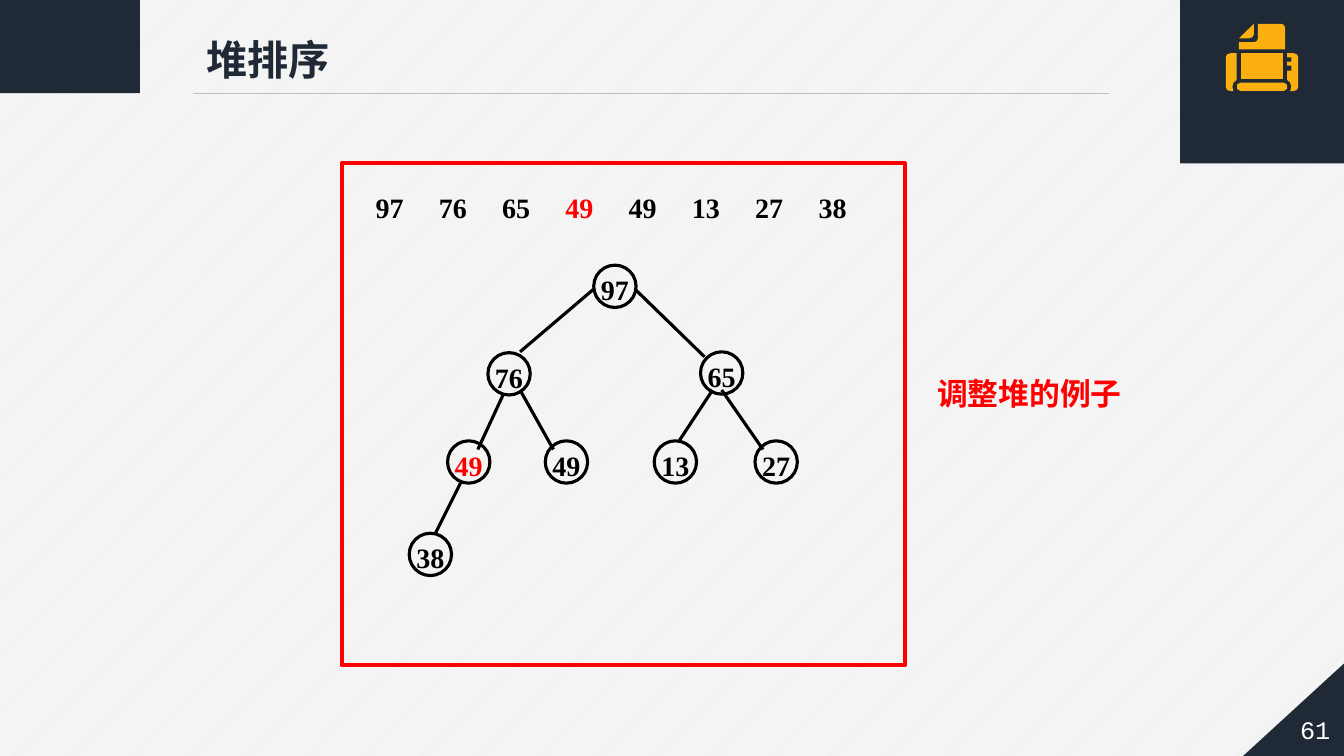
from lxml import etree
from pptx import Presentation
from pptx.dml.color import RGBColor
from pptx.enum.dml import MSO_PATTERN
from pptx.enum.shapes import MSO_CONNECTOR, MSO_SHAPE
from pptx.enum.text import MSO_ANCHOR, MSO_AUTO_SIZE, PP_ALIGN
from pptx.oxml.ns import qn
from pptx.util import Pt

STRIPE = MSO_PATTERN.LIGHT_UPWARD_DIAGONAL
LINE = MSO_CONNECTOR.STRAIGHT
RECT, OVAL, CORNER = MSO_SHAPE.RECTANGLE, MSO_SHAPE.OVAL, MSO_SHAPE.RIGHT_TRIANGLE
TOP, MID = MSO_ANCHOR.TOP, MSO_ANCHOR.MIDDLE
LEFT, MIDST = PP_ALIGN.LEFT, PP_ALIGN.CENTER
FIXED = MSO_AUTO_SIZE.NONE

COLORS = {"navy": "202A36", "gold": "FCB00F", "red": "FF0000", "black": "000000",
          "white": "FFFFFF", "pale": "F2F2F2", "gray": "BFBFBF"}
SERIF = "Times New Roman"

TITLE = "堆排序"
LABEL = "调整堆的例子"
PAGE = "61"
HEAP = [97, 76, 65, 49, 49, 13, 27, 38]
MARKED = 3

CENTERS = [(439.2, 204.5), (363.6, 267), (515.5, 266.4), (334.8, 330),
           (404.6, 330), (482.4, 330), (554.4, 330), (307.4, 396)]
EDGES = [((424, 206.6), (371.5, 251.3)), ((453.6, 206.6), (503.3, 254.9)),
         ((359.3, 282.2), (341.3, 321.1)), ((371.5, 278.6), (395.3, 321.1)),
         ((509, 278.6), (485.3, 314.6)), ((515.5, 278.6), (545, 321.1)),
         ((329, 344.9), (311, 380.9))]
NODE = 30.24
STEP = 45.2

PANELS = [(RECT, 0, 0, 100, 66.5), (CORNER, 888, 474, 72, 66), (RECT, 843, 0, 117, 116.8)]
PRINTER = [
    [(879, 38), (883.4, 38), (883.4, 57), (881, 59), (880.3, 62), (881, 65),
     (879, 65), (876.5, 64.2), (875.6, 62), (875.6, 41), (876.5, 38.8)],
    [(886, 59), (917, 59), (919.4, 60.5), (919.4, 63.5), (917, 65), (886, 65),
     (883.6, 63.5), (883.6, 60.5)],
    [(919.4, 38), (924, 38), (926.4, 38.8), (927.3, 41), (927.3, 62), (926.4, 64.2),
     (924, 65), (921.6, 65), (922.4, 62), (921.6, 59), (919.4, 57), (919.4, 50.4),
     (922.4, 50.4), (922.4, 46.8), (919.4, 46.8), (919.4, 44), (922.4, 44),
     (922.4, 41), (919.4, 41)],
    [(885, 27.4), (895.6, 17), (895.6, 24.5), (894.7, 26.5), (892, 27.4)],
    [(885, 30.2), (895.6, 30.2), (897.8, 29.4), (898.6, 27.4), (898.6, 17),
     (915, 17), (917.2, 17.8), (918, 20), (918, 35.3), (885, 35.3)],
    [(886.3, 38), (916.6, 38), (916.6, 56.2), (886.3, 56.2)],
]


def rgb(name):
    return RGBColor.from_string(COLORS[name])


def box(*nums):
    return [Pt(n) for n in nums]


def put(thing, values):
    for name, value in values.items():
        setattr(thing, name, value)


def paint(shape, fill=None, line=None, width=1):
    shape.shadow.inherit = False
    if fill:
        shape.fill.solid()
        shape.fill.fore_color.rgb = rgb(fill)
    else:
        shape.fill.background()
    if line:
        shape.line.color.rgb = rgb(line)
        shape.line.width = Pt(width)
    else:
        shape.line.fill.background()


def join(start, end, color, width):
    link = slide.shapes.add_connector(LINE, *box(*start, *end))
    link.line.color.rgb = rgb(color)
    link.line.width = Pt(width)
    etree.SubElement(link._element.spPr, qn("a:effectLst"))


def write(shape, runs, size, face=SERIF, bold=True, align=LEFT, space=1.0,
          anchor=TOP, wrap=False, pad=7.2, tabs=()):
    frame = shape.text_frame
    put(frame, {"auto_size": FIXED, "word_wrap": wrap, "vertical_anchor": anchor,
                "margin_left": Pt(pad), "margin_right": Pt(pad),
                "margin_top": Pt(3.6), "margin_bottom": Pt(3.6)})
    para = frame.paragraphs[0]
    if tabs:
        stops = etree.SubElement(para._p.get_or_add_pPr(), qn("a:tabLst"))
        for stop in tabs:
            etree.SubElement(stops, qn("a:tab"), pos=str(Pt(stop)), algn="l")
    put(para, {"alignment": align, "line_spacing": space})
    for text, color in runs:
        run = para.add_run()
        run.text = text
        put(run.font, {"name": face, "size": Pt(size), "bold": bold})
        run.font.color.rgb = rgb(color)


deck = Presentation()
put(deck, {"slide_width": Pt(960), "slide_height": Pt(540)})
slide = deck.slides.add_slide(deck.slide_layouts[5])
shapes = slide.shapes
back = slide.background.fill
back.patterned()
back.pattern = STRIPE
back.fore_color.rgb = rgb("white")
back.back_color.rgb = rgb("pale")

for kind, *area in PANELS:
    panel = shapes.add_shape(kind, *box(*area))
    paint(panel, "navy")
    if kind == CORNER:
        panel._element.spPr.xfrm.set("flipH", "1")
join((138, 66.5), (792.5, 66.5), "gray", 0.5)

for first, *rest in PRINTER:
    path = shapes.build_freeform(*box(*first))
    path.add_line_segments([box(*point) for point in rest], close=True)
    paint(path.convert_to_shape(), "gold")

title = shapes.title
put(title, dict(zip(("left", "top", "width", "height"), box(140.4, 13.7, 103.7, 46))))
write(title, [(TITLE, "navy")], 29.4, space=1.2)

page = shapes.add_textbox(*box(919, 502, 41, 40 - 2))
write(page, [(PAGE, "white")], 18, "Courier New", False, MIDST, anchor=MID, pad=0)

for start, end in EDGES:
    join(start, end, "black", 2.25)
hues = ["red" if i == MARKED else "black" for i in range(len(HEAP))]
for key, hue, (x, y) in zip(HEAP, hues, CENTERS):
    node = shapes.add_shape(OVAL, *box(x - NODE / 2, y - NODE / 2, NODE, NODE))
    paint(node, line="black", width=2.25)
    write(node, [(str(key), hue)], 20, align=MIDST, space=1.2, anchor=MID)

row = shapes.add_textbox(*box(261.2, 120.2, 384.5, 39.6))
cells = [("\t" * (i > 0) + str(key), hue) for i, (key, hue) in enumerate(zip(HEAP, hues))]
write(row, cells, 20, space=1.5, wrap=True, tabs=[STEP * i for i in range(1, len(HEAP))])

frame = shapes.add_shape(RECT, *box(244, 116.6, 402.5, 358.5))
paint(frame, line="red", width=3)
label = shapes.add_textbox(*box(662.4, 264.2, 195, 34))
write(label, [(LABEL, "red")], 22, wrap=True)

deck.save("out.pptx")
